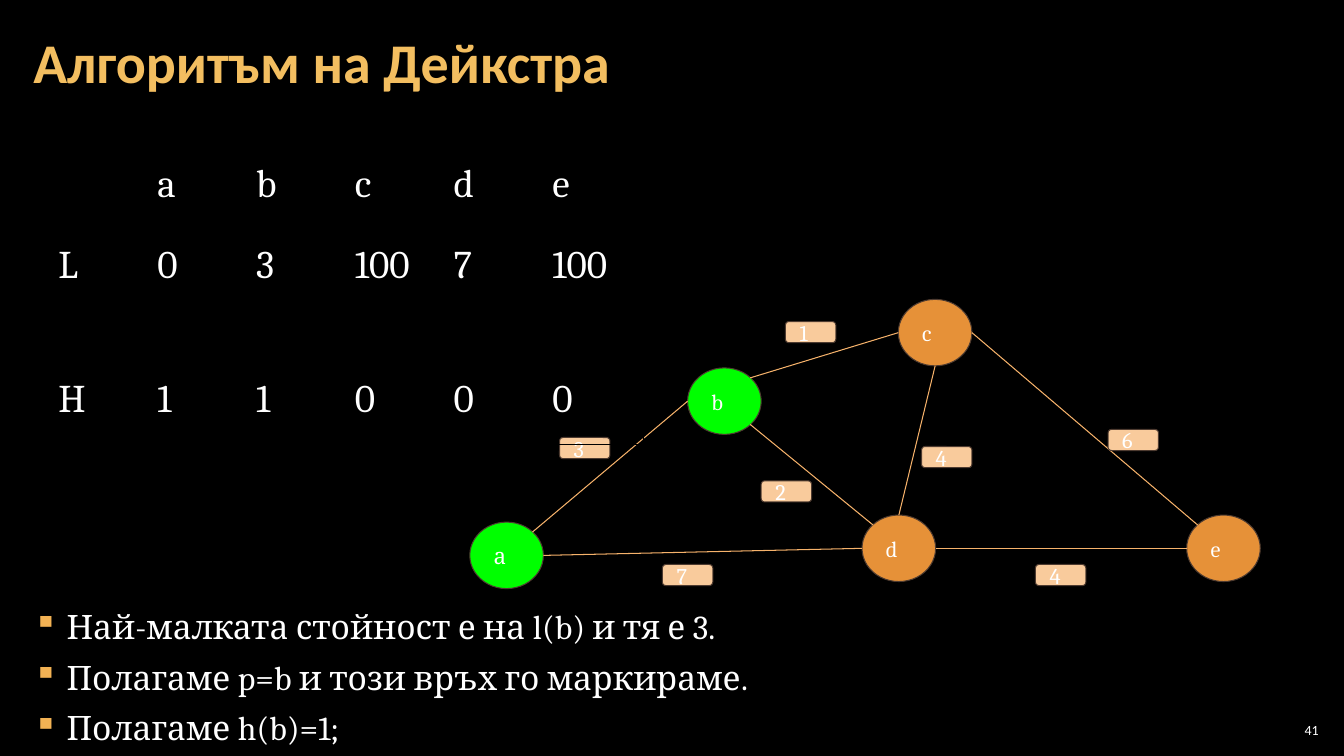
"""Build the slide showing one step of Dijkstra's algorithm."""
import lxml.etree
import pptx
import pptx.dml.color
import pptx.enum.shapes
import pptx.enum.text
import pptx.oxml
import pptx.oxml.ns
import pptx.util

Inches = pptx.util.Inches
RGBColor = pptx.dml.color.RGBColor
Align = pptx.enum.text.PP_ALIGN
Anchor = pptx.enum.text.MSO_ANCHOR
Shape = pptx.enum.shapes.MSO_SHAPE
qn = pptx.oxml.ns.qn

BLACK = RGBColor(0x00, 0x00, 0x00)
WHITE = RGBColor(0xFF, 0xFF, 0xFF)
GOLD = RGBColor(0xF3, 0xBE, 0x60)
BROWN = RGBColor(0x4E, 0x3B, 0x30)
GREEN = RGBColor(0x00, 0xFF, 0x00)
ORANGE = RGBColor(0xE6, 0x91, 0x38)
PEACH = RGBColor(0xF9, 0xCB, 0x9C)
EDGE = RGBColor(0xF6, 0xB2, 0x6B)
BULLET = RGBColor(0xF2, 0xB2, 0x54)


def write(frame, text, size=16, font="Cambria", color=WHITE, bold=False,
          align=Align.LEFT, anchor=Anchor.MIDDLE, margins=(0.13, 0.13), bullet=None):
    frame.word_wrap = True
    frame.vertical_anchor = anchor
    frame.margin_left = frame.margin_right = Inches(margins[0])
    frame.margin_top = frame.margin_bottom = Inches(margins[1])
    frame.text = text
    for paragraph in frame.paragraphs:
        paragraph.alignment = align
        if bullet:
            properties = paragraph._p.get_or_add_pPr()
            properties.set("marL", str(Inches(0.33)))
            properties.set("indent", str(Inches(-0.33)))
            bullet_color = lxml.etree.SubElement(properties, qn("a:buClr"))
            lxml.etree.SubElement(bullet_color, qn("a:srgbClr"), val=str(bullet))
            lxml.etree.SubElement(properties, qn("a:buChar"), char="▪")
            paragraph.line_spacing = 1.05
            paragraph.space_after = pptx.util.Pt(6)
        paragraph.font.size = pptx.util.Pt(size)
        paragraph.font.name = font
        paragraph.font.bold = bold
        paragraph.font.color.rgb = color


def add_label(kind, left, top, width, height, fill, text):
    shape = slide.shapes.add_shape(
        kind, Inches(left), Inches(top), Inches(width), Inches(height))
    shape.shadow.inherit = False
    shape.fill.solid()
    shape.fill.fore_color.rgb = fill
    shape.line.color.rgb = BROWN
    shape.line.width = pptx.util.Pt(0.75)
    write(shape.text_frame, text)


presentation = pptx.Presentation()
presentation.slide_width = Inches(13.33)
presentation.slide_height = Inches(7.5)
slide = presentation.slides.add_slide(presentation.slide_layouts[5])
slide.background.fill.solid()
slide.background.fill.fore_color.rgb = BLACK

title = slide.shapes.title
title.left, title.top = Inches(0.21), Inches(0.04)
title.width, title.height = Inches(12.91), Inches(1.21)
write(title.text_frame, "Алгоритъм на Дейкстра", size=40, font="Calibri",
      color=GOLD, bold=True, margins=(0.12, 0.04))
title.text_frame.paragraphs[0].line_spacing = 0.9

steps = slide.shapes.add_textbox(Inches(0.21), Inches(5.95), Inches(12.91), Inches(1.4))
write(steps.text_frame,
      "Най-малката стойност е на l(b) и тя е 3.\n"
      "Полагаме p=b и този връх го маркираме.\n"
      "Полагаме h(b)=1;",
      size=24, anchor=Anchor.TOP, margins=(0.12, 0.04), bullet=BULLET)

NODE_WIDTH, NODE_HEIGHT = 0.73, 0.66
nodes = {
    "а": (4.66, 5.18, GREEN),
    "b": (6.82, 3.65, GREEN),
    "c": (8.91, 2.97, ORANGE),
    "d": (8.55, 5.11, ORANGE),
    "e": (11.77, 5.11, ORANGE),
}
for name, (left, top, fill) in nodes.items():
    add_label(Shape.OVAL, left, top, NODE_WIDTH, NODE_HEIGHT, fill, name)

sites = {
    "top": (0.5, 0), "bottom": (0.5, 1), "left": (0, 0.5), "right": (1, 0.5),
    "top left": (0.15, 0.15), "top right": (0.85, 0.15), "bottom right": (0.85, 0.85),
}
edges = [
    ("а", "top right", "b", "left"),
    ("b", "bottom right", "d", "top left"),
    ("а", "right", "d", "left"),
    ("b", "top right", "c", "left"),
    ("d", "top", "c", "bottom"),
    ("c", "right", "e", "top left"),
    ("d", "right", "e", "left"),
]
for start, start_site, end, end_site in edges:
    ends = []
    for name, site in ((start, start_site), (end, end_site)):
        left, top, fill = nodes[name]
        across, down = sites[site]
        ends += [Inches(left + across * NODE_WIDTH), Inches(top + down * NODE_HEIGHT)]
    connector = slide.shapes.add_connector(
        pptx.enum.shapes.MSO_CONNECTOR.STRAIGHT, *ends)
    connector.line.color.rgb = EDGE
    connector.line.width = pptx.util.Pt(0.75)
    lxml.etree.SubElement(connector._element.spPr, qn("a:effectLst"))

weights = [
    ("3", 5.55, 4.34), ("7", 6.57, 5.6), ("2", 7.55, 4.77), ("1", 7.79, 3.19),
    ("4", 9.14, 4.43), ("4", 10.27, 5.6), ("6", 10.99, 4.26),
]
for weight, left, top in weights:
    add_label(Shape.ROUNDED_RECTANGLE, left, top, 0.5, 0.21, PEACH, weight)

rows = [
    ["", "a", "b", "c", "d", "e"],
    ["L", "0", "3", "100", "7", "100"],
    ["H", "1", "1", "0", "0", "0"],
]
table = slide.shapes.add_table(
    3, 6, Inches(0.45), Inches(1.48), Inches(5.93), Inches(2.93)).table
table.first_row = table.horz_banding = False
for column, width in zip(table.columns, [0.98] * 5 + [1.03]):
    column.width = Inches(width)
for row, height, values in zip(table.rows, [0.8, 1.33, 0.8], rows):
    row.height = Inches(height)
    for cell, value in zip(row.cells, values):
        write(cell.text_frame, value, size=28)
        cell.vertical_anchor = Anchor.TOP
        cell.margin_left = cell.margin_right = Inches(0.13)
        cell.margin_top = cell.margin_bottom = Inches(0.13)
        properties = cell._tc.get_or_add_tcPr()
        for side in ("a:lnL", "a:lnR", "a:lnT", "a:lnB"):
            border = lxml.etree.SubElement(properties, qn(side), w="9525")
            border_fill = lxml.etree.SubElement(border, qn("a:solidFill"))
            lxml.etree.SubElement(border_fill, qn("a:srgbClr"), val=str(BLACK))
        cell.fill.background()

number = slide.shapes.add_textbox(Inches(12.65), Inches(7.14), Inches(0.47), Inches(0.21))
write(number.text_frame, "41", size=10, font="Calibri", align=Align.RIGHT,
      margins=(0.04, 0.04))

presentation.save("out.pptx")
